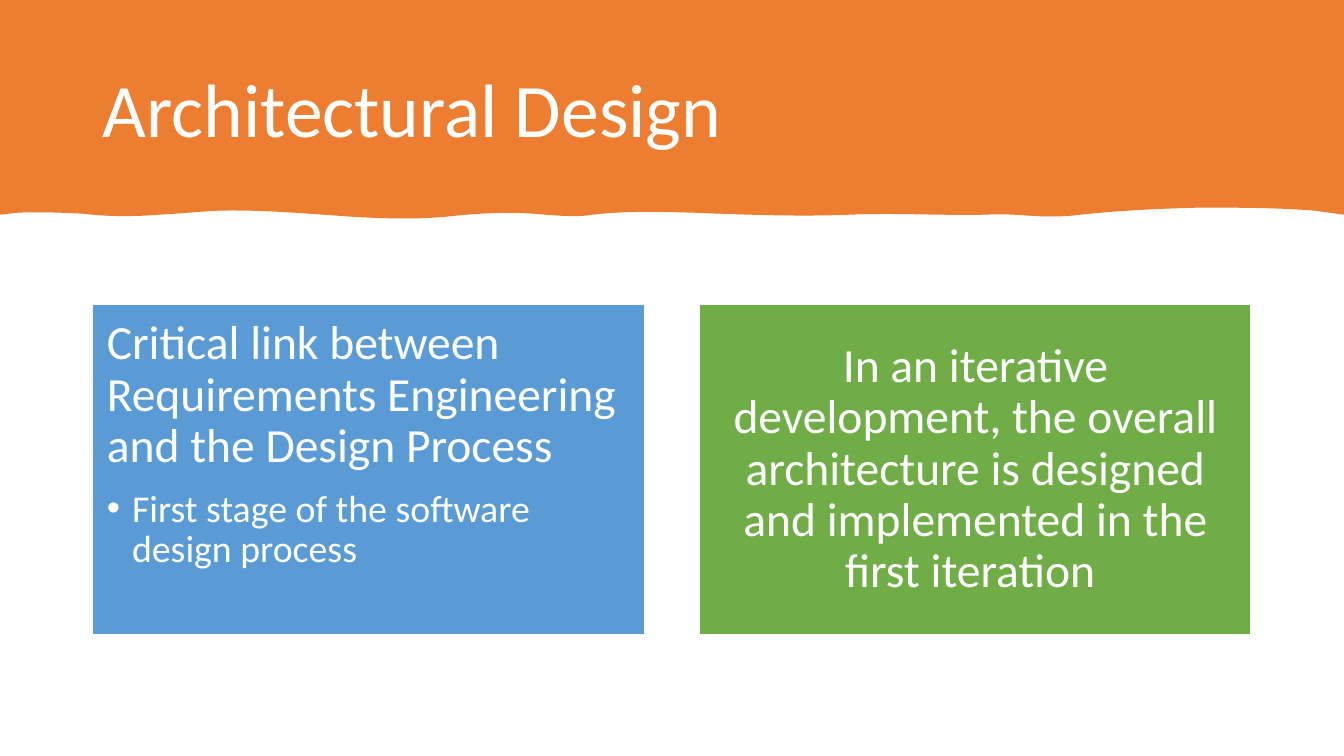
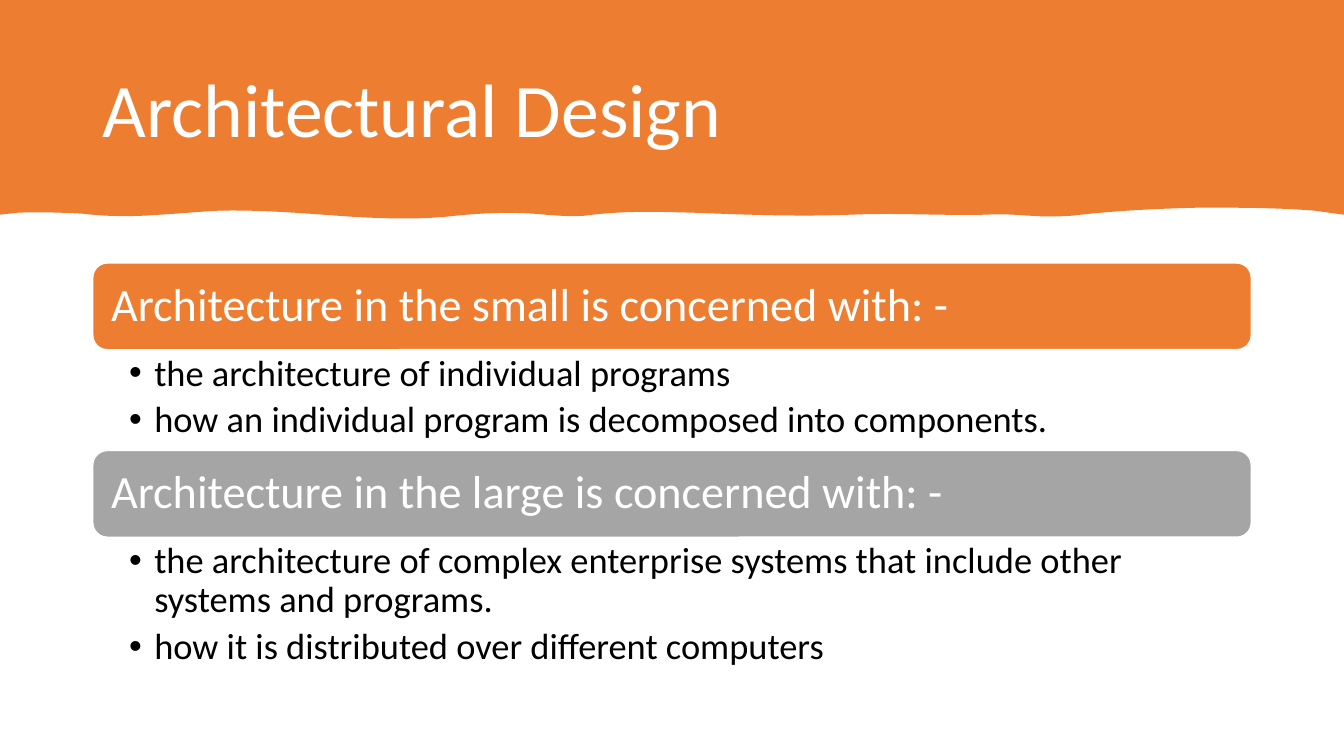
import pptx
import pptx.dml.color
import pptx.enum.shapes
import pptx.enum.text
import pptx.oxml.ns
import pptx.util
from lxml import etree

Inches = pptx.util.Inches
Anchor = pptx.enum.text.MSO_ANCHOR
Align = pptx.enum.text.PP_ALIGN
Shape = pptx.enum.shapes.MSO_SHAPE
qn = pptx.oxml.ns.qn

WIDTH, HEIGHT = 13.33, 7.5
MARGIN = 0.92
CONTENT = WIDTH - 2 * MARGIN
ORANGE, BLUE, GREEN, GRAY = "ED7D31", "5B9BD5", "70AD47", "A5A5A5"
WHITE, BLACK = "FFFFFF", "000000"

WAVE_START = [(WIDTH, 0), (WIDTH, 2.13), (13.04, 2.09)]
WAVE_CURVES = [
    [(12.66, 2.06), (12.28, 2.06), (11.9, 2.06)],
    [(11.48, 2.07), (11.05, 2.09), (10.63, 2.14)],
    [(10.49, 2.15), (10.35, 2.15), (10.21, 2.14)],
    [(10.07, 2.13), (9.92, 2.12), (9.77, 2.13)],
    [(9.33, 2.14), (8.88, 2.11), (8.43, 2.13)],
    [(7.91, 2.15), (7.39, 2.13), (6.87, 2.11)],
    [(6.51, 2.1), (6.16, 2.09), (5.8, 2.14)],
    [(5.67, 2.15), (5.54, 2.14), (5.41, 2.13)],
    [(5.12, 2.1), (4.82, 2.11), (4.52, 2.14)],
    [(4.18, 2.18), (3.84, 2.17), (3.49, 2.15)],
    [(3.05, 2.12), (2.61, 2.08), (2.17, 2.09)],
    [(1.97, 2.1), (1.77, 2.12), (1.58, 2.13)],
    [(1.33, 2.15), (1.07, 2.15), (0.82, 2.12)],
    [(0.61, 2.11), (0.4, 2.1), (0.18, 2.11)],
]
WAVE_END = [(0, 2.13)]


def rgb(value):
    return pptx.dml.color.RGBColor.from_string(value)


class Deck:
    """Holds the shared style and the slide being built."""

    font = "Calibri"

    def __init__(self):
        self.show = pptx.Presentation()
        self.show.slide_width = Inches(WIDTH)
        self.show.slide_height = Inches(HEIGHT)
        self.slide = None

    def add_slide(self, title):
        self.slide = self.show.slides.add_slide(self.show.slide_layouts[6])
        self.wave_band()
        heading = self.text_box(MARGIN, 0.4, CONTENT, 1.45)
        self.frame(heading, (0.1, 0.05, 0.1, 0.05), Anchor.MIDDLE)
        self.paragraph(heading, title, 54)

    def wave_band(self):
        corners = WAVE_START + [curve[-1] for curve in WAVE_CURVES] + WAVE_END
        builder = self.slide.shapes.build_freeform(0, 0)
        builder.add_line_segments([(Inches(x), Inches(y)) for x, y in corners])
        band = builder.convert_to_shape()
        self.paint(band, ORANGE)
        band.line.fill.background()
        segments = list(band._element.iter(qn("a:lnTo")))[len(WAVE_START):]
        for segment, curve in zip(segments, WAVE_CURVES):
            segment.tag = qn("a:cubicBezTo")
            for position, (x, y) in enumerate(curve[:2]):
                control = etree.Element(qn("a:pt"), x=str(Inches(x)), y=str(Inches(y)))
                segment.insert(position, control)

    def paint(self, shape, fill):
        shape.shadow.inherit = False
        shape.fill.solid()
        shape.fill.fore_color.rgb = rgb(fill)

    def text_box(self, *box):
        return self.slide.shapes.add_textbox(*map(Inches, box))

    def panel(self, kind, box, fill):
        panel = self.slide.shapes.add_shape(kind, *map(Inches, box))
        self.paint(panel, fill)
        panel.line.color.rgb = rgb(WHITE)
        panel.line.width = pptx.util.Pt(1)
        return panel

    def frame(self, shape, insets, anchor):
        frame = shape.text_frame
        frame.word_wrap = True
        frame.vertical_anchor = anchor
        (frame.margin_left, frame.margin_top,
         frame.margin_right, frame.margin_bottom) = map(Inches, insets)

    def paragraph(self, shape, text, size, color=WHITE, align=Align.LEFT, after=0):
        frame = shape.text_frame
        paragraph = frame.add_paragraph() if frame.text else frame.paragraphs[0]
        paragraph.text = text
        paragraph.alignment = align
        paragraph.line_spacing = 0.9
        paragraph.space_after = pptx.util.Pt(round(size * after, 1))
        paragraph.font.name = self.font
        paragraph.font.size = pptx.util.Pt(size)
        paragraph.font.color.rgb = rgb(color)
        return paragraph

    def bullet(self, shape, text, size, color=WHITE, after=0.2):
        paragraph = self.paragraph(shape, text, size, color, after=after)
        paragraph.level = 1
        properties = paragraph._p.get_or_add_pPr()
        properties.set("marL", str(Inches(0.25)))
        properties.set("indent", str(-Inches(0.25)))
        defaults = properties.find(qn("a:defRPr"))
        defaults.addprevious(etree.Element(qn("a:buFont"), typeface="Arial"))
        defaults.addprevious(etree.Element(qn("a:buChar"), char="•"))

    def card(self, left, fill, text, anchor, align):
        card = self.panel(Shape.RECTANGLE, (left, 3.02, 5.47, 3.28), fill)
        self.frame(card, (0.14,) * 4, anchor)
        self.paragraph(card, text, 34, align=align, after=0.35)
        return card

    def section(self, top, fill, heading, items, list_height):
        bar_height = 0.86
        bar = self.panel(Shape.ROUNDED_RECTANGLE, (MARGIN, top, CONTENT, bar_height), fill)
        self.frame(bar, (0.14,) * 4, Anchor.MIDDLE)
        self.paragraph(bar, heading, 33)
        points = self.text_box(MARGIN, top + bar_height, CONTENT, list_height)
        self.frame(points, (0.36, 0.05, 0.26, 0.05), Anchor.TOP)
        for item in items:
            self.bullet(points, item, 26, BLACK)
        return top + bar_height + list_height


def main():
    deck = Deck()

    deck.add_slide("Architectural Design")
    link = deck.card(MARGIN, BLUE,
                     "Critical link between Requirements Engineering and the Design Process",
                     Anchor.TOP, Align.LEFT)
    deck.bullet(link, "First stage of the software design process", 27, after=0.15)
    deck.card(6.94, GREEN,
              "In an iterative development, the overall architecture is designed "
              "and implemented in the first iteration ",
              Anchor.MIDDLE, Align.CENTER)

    deck.add_slide("Architectural Design")
    sections = [
        (ORANGE, "Architecture in the small is concerned with: -",
         ["the architecture of individual programs",
          "how an individual program is decomposed into components."], 1),
        (GRAY, "Architecture in the large is concerned with: -",
         ["the architecture of complex enterprise systems that include other "
          "systems and programs.",
          "how it is distributed over different computers"], 1.38),
    ]
    top = 2.61
    for section in sections:
        top = deck.section(top, *section)

    deck.show.save("out.pptx")


if __name__ == "__main__":
    main()
